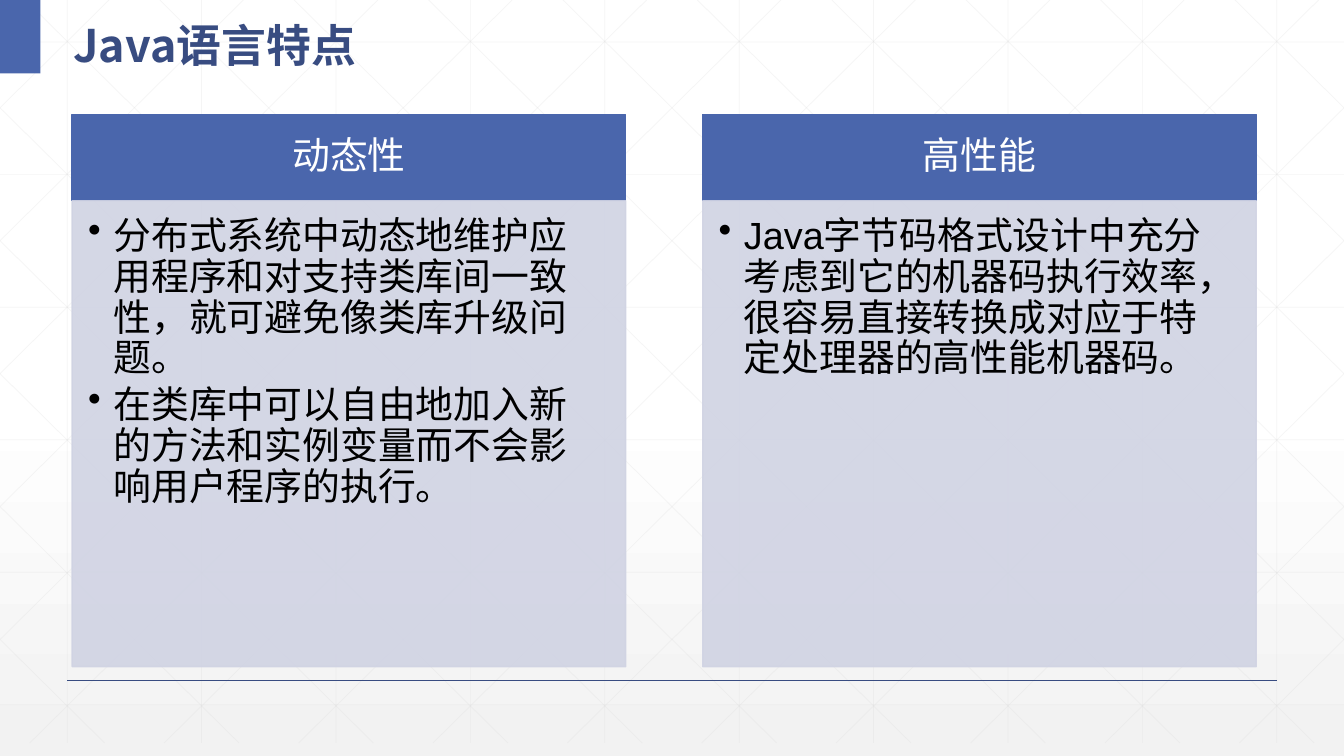
from lxml import etree
from pptx import Presentation
from pptx.dml.color import RGBColor
from pptx.enum.shapes import MSO_CONNECTOR, MSO_SHAPE
from pptx.enum.text import MSO_ANCHOR, PP_ALIGN
from pptx.oxml.ns import qn
from pptx.util import Cm, Pt

TITLE = "Java语言特点"
CARDS = [
    ("动态性", [
        "分布式系统中动态地维护应用程序和对支持类库间一致性，就可避免像类库升级问题。",
        "在类库中可以自由地加入新的方法和实例变量而不会影响用户程序的执行。",
    ]),
    ("高性能", [
        "Java字节码格式设计中充分考虑到它的机器码执行效率，很容易直接转换成对应于特定处理器的高性能机器码。",
    ]),
]

WHITE = RGBColor(0xFF, 0xFF, 0xFF)
BLACK = RGBColor(0x00, 0x00, 0x00)
PALE_GRAY = RGBColor(0xF2, 0xF2, 0xF2)
GRID_GRAY = RGBColor(0xD9, 0xD9, 0xD9)
BLUE = RGBColor(0x4A, 0x66, 0xAC)
DARK_BLUE = RGBColor(0x38, 0x4C, 0x81)
PALE_BLUE = RGBColor(0xD0, 0xD3, 0xE3)

RECTANGLE = MSO_SHAPE.RECTANGLE
STRAIGHT = MSO_CONNECTOR.STRAIGHT
TOP, MIDDLE = MSO_ANCHOR.TOP, MSO_ANCHOR.MIDDLE
LEFT, CENTER = PP_ALIGN.LEFT, PP_ALIGN.CENTER

TITLE_FONT, BODY_FONT = "Noto Sans CJK SC", "Arial"

# Lengths in centimetres
PAGE_WIDTH, PAGE_HEIGHT = 33.87, 19.05
COLUMN_COUNT, ROW_COUNT = 10, 6
COLUMN_STEP, ROW_STEP = PAGE_WIDTH / COLUMN_COUNT, 3.34
FIRST_ROW, GRID_BOTTOM = 1.06, 18.72
DIAGONAL_START, DIAGONAL_RUN = 0.64, 18.93
CARD_LEFT, CARD_TOP, CARD_WIDTH, CARD_STEP = 1.82, 2.89, 13.95, 15.89
HEADER_HEIGHT, BODY_HEIGHT = 2.17, 11.74
HEADER_INSETS = (0.53, 0.3, 0.53, 0.3)
BODY_INSETS = (0.4, 0.4, 0.53, 0.6)
BULLET_INDENT = 0.64


def set_opacity(shape, percent):
    for color in shape.element.spPr.iter(qn("a:srgbClr")):
        etree.SubElement(color, qn("a:alpha")).set("val", str(percent * 1000))


def add_line(slide, x1, y1, x2, y2, color, width, opacity=100):
    line = slide.shapes.add_connector(STRAIGHT, Cm(x1), Cm(y1), Cm(x2), Cm(y2))
    line.line.color.rgb = color
    line.line.width = Pt(width)
    etree.SubElement(line.element.spPr, qn("a:effectLst"))
    if opacity < 100:
        set_opacity(line, opacity)


def add_box(slide, left, top, width, height, color):
    shape = slide.shapes.add_shape(RECTANGLE, Cm(left), Cm(top), Cm(width), Cm(height))
    shape.shadow.inherit = False
    shape.fill.solid()
    shape.fill.fore_color.rgb = color
    shape.line.color.rgb = color
    shape.line.width = Pt(1)
    return shape


def write_text(shape, texts, color, align, anchor, insets):
    frame = shape.text_frame
    frame.word_wrap = True
    frame.vertical_anchor = anchor
    (frame.margin_left, frame.margin_top,
     frame.margin_right, frame.margin_bottom) = map(Cm, insets)
    frame.text = "\n".join(texts)
    for paragraph in frame.paragraphs:
        paragraph.alignment = align
        paragraph.line_spacing = 0.9
        paragraph.space_after = Pt(4)
        paragraph.font.name = BODY_FONT
        paragraph.font.size = Pt(27)
        paragraph.font.color.rgb = color


def add_bullet(paragraph):
    properties = paragraph._p.get_or_add_pPr()
    properties.set("marL", str(Cm(BULLET_INDENT)))
    properties.set("indent", str(-Cm(BULLET_INDENT)))
    bullet = etree.Element(qn("a:buChar"), char="•")
    properties.find(qn("a:defRPr")).addprevious(bullet)


def add_background(slide):
    fill = slide.background.fill
    fill.gradient()
    fill.gradient_angle = 270
    for stop, color, position in zip(fill.gradient_stops, (WHITE, PALE_GRAY), (0.53, 1)):
        stop.color.rgb = color
        stop.position = position

    grid = []
    for column in range(COLUMN_COUNT):
        x = (column + 0.5) * COLUMN_STEP
        grid.append((x, 0, x, GRID_BOTTOM))
    for row in range(ROW_COUNT):
        y = FIRST_ROW + row * ROW_STEP
        grid.append((0, y, PAGE_WIDTH, y))
    slope = GRID_BOTTOM / DIAGONAL_RUN
    for index in range(-5, COLUMN_COUNT):
        start = DIAGONAL_START + index * COLUMN_STEP
        x1, x2 = max(start, 0), min(start + DIAGONAL_RUN, PAGE_WIDTH)
        y1, y2 = (x1 - start) * slope, (x2 - start) * slope
        grid.append((x1, y1, x2, y2))
        grid.append((PAGE_WIDTH - x1, y1, PAGE_WIDTH - x2, y2))
    for ends in grid:
        add_line(slide, *ends, GRID_GRAY, 0.5, 25)


def add_title(slide):
    marker = add_box(slide, 0, 0, 1.02, 1.85, BLUE)
    marker.line.fill.background()
    box = slide.shapes.add_textbox(Cm(1.6), Cm(0), Cm(14.45), Cm(1.85))
    frame = box.text_frame
    frame.word_wrap = True
    frame.vertical_anchor = MIDDLE
    frame.text = TITLE
    paragraph = frame.paragraphs[0]
    paragraph.line_spacing = 1.3
    font = paragraph.font
    font.name, font.size, font.bold = TITLE_FONT, Pt(32), True
    font.color.rgb = DARK_BLUE


def add_card(slide, left, heading, points):
    header = add_box(slide, left, CARD_TOP, CARD_WIDTH, HEADER_HEIGHT, BLUE)
    write_text(header, [heading], WHITE, CENTER, MIDDLE, HEADER_INSETS)
    body = add_box(slide, left, CARD_TOP + HEADER_HEIGHT, CARD_WIDTH, BODY_HEIGHT, PALE_BLUE)
    set_opacity(body, 90)
    write_text(body, points, BLACK, LEFT, TOP, BODY_INSETS)
    for paragraph in body.text_frame.paragraphs:
        add_bullet(paragraph)


def main():
    presentation = Presentation()
    presentation.slide_width = Cm(PAGE_WIDTH)
    presentation.slide_height = Cm(PAGE_HEIGHT)
    slide = presentation.slides.add_slide(presentation.slide_layouts[6])
    add_background(slide)
    add_line(slide, 1.69, 17.14, 32.18, 17.14, DARK_BLUE, 1)
    add_title(slide)
    for index, (heading, points) in enumerate(CARDS):
        add_card(slide, CARD_LEFT + index * CARD_STEP, heading, points)
    presentation.save("out.pptx")


if __name__ == "__main__":
    main()
